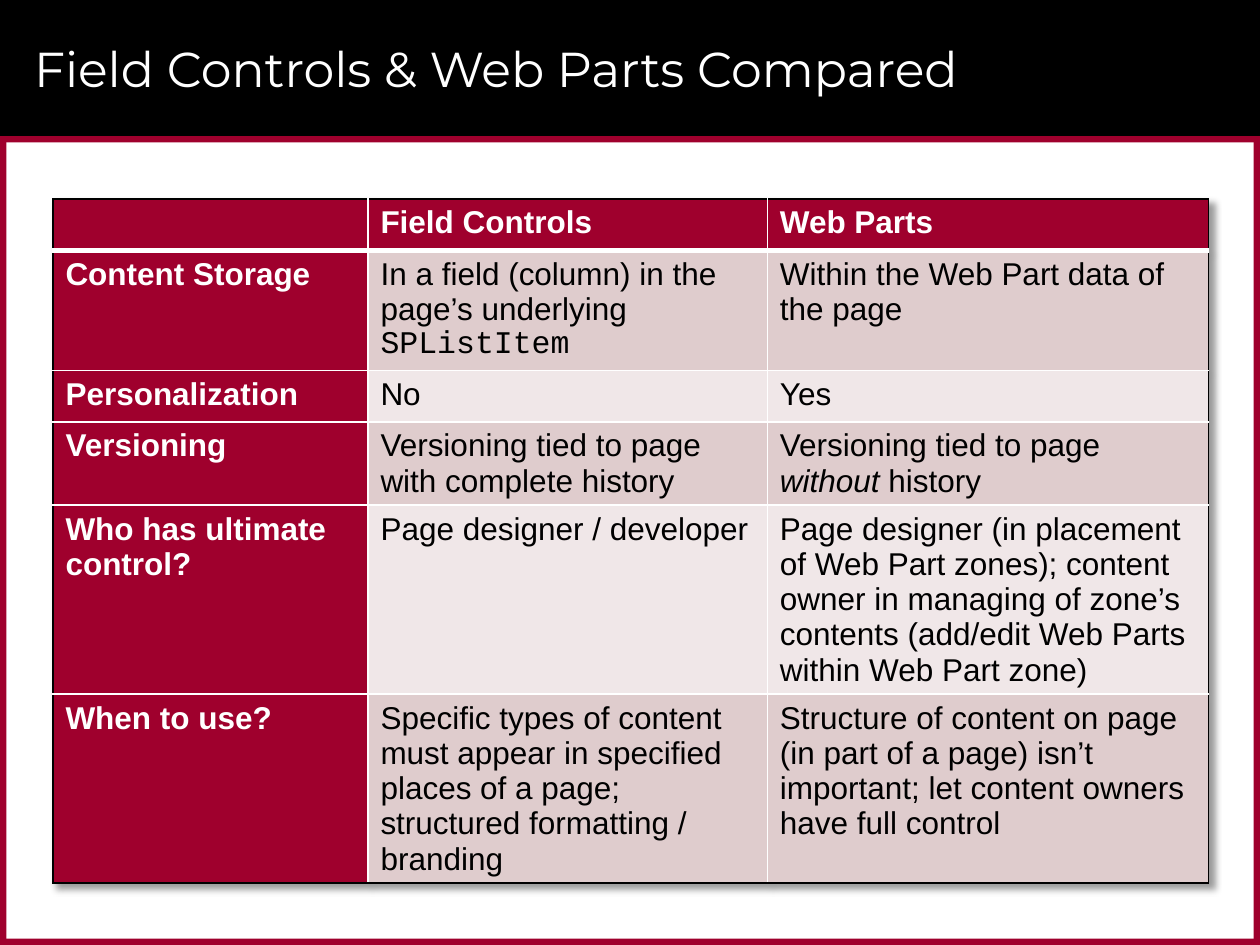
from lxml import etree
from pptx import Presentation
from pptx.dml.color import RGBColor
from pptx.enum import shapes, text
from pptx.oxml import ns
from pptx.util import Inches, Pt

HUES = {"red": "9F002D", "black": "000000", "white": "FFFFFF",
        "dark": "DFCCCD", "light": "F0E7E8"}
WIDTHS = [2.5, 3.17, 3.5]
HEIGHTS = [0.41, 0.95, 0.41, 0.66, 1.5, 1.5]
BARS = [("black", 0, 0, 10, 1.08), ("red", 0, 1.08, 10, 0.05),
        ("red", 0, 7.45, 10, 0.05), ("red", 9.95, 1.08, 0.05, 6.42),
        ("red", 0, 1.08, 0.05, 6.42)]
# Each cell is a list of runs; a tuple pairs the words with a style.
ROWS = [
    [[], ["Field Controls"], ["Web Parts"]],
    [["Content Storage"],
     ["In a field (column) in the page’s underlying ", ("SPListItem", "code")],
     ["Within the Web Part data of the page"]],
    [["Personalization"], ["No"], ["Yes"]],
    [["Versioning"],
     ["Versioning tied to page with complete history"],
     ["Versioning tied to page ", ("without", "slant"), " history"]],
    [["Who has ultimate control?"],
     ["Page designer / developer"],
     ["Page designer (in placement of Web Part zones); content owner in "
      "managing of zone’s contents (add/edit Web Parts within Web Part zone)"]],
    [["When to use?"],
     ["Specific types of content must appear in specified places of a page; "
      "structured formatting / branding"],
     ["Structure of content on page (in part of a page) isn’t important; "
      "let content owners have full control"]],
]


def tint(name):
    return RGBColor.from_string(HUES[name])


def add_node(parent, tag, **attrs):
    node = etree.SubElement(parent, ns.qn(tag))
    for key, val in attrs.items():
        node.set(key, str(val))
    return node


def add_run(para, words, font, size, hue):
    run = para.add_run()
    run.text = words
    run.font.name = font
    run.font.size = Pt(size)
    run.font.color.rgb = tint(hue)
    return run


def add_bar(slide, hue, *box):
    bar = slide.shapes.add_shape(shapes.MSO_SHAPE.RECTANGLE, *map(Inches, box))
    bar.shadow.inherit = False
    bar.fill.solid()
    bar.fill.fore_color.rgb = tint(hue)
    bar.line.fill.background()


def set_title(slide, words):
    title = slide.shapes.title
    title.left, title.top = Inches(0.17), Inches(0.08)
    title.width, title.height = Inches(9.42), Inches(0.92)
    frame = title.text_frame
    frame.vertical_anchor = text.MSO_ANCHOR.MIDDLE
    para = frame.paragraphs[0]
    para.alignment = text.PP_ALIGN.LEFT
    add_run(para, words, "Montserrat", 28, "white")
    slide.shapes._spTree.append(title._element)  # in front of the bars


def set_edges(cell, row, col):
    """Black round the table, white inside, thick under the header."""
    last_row, last_col = len(ROWS) - 1, len(WIDTHS) - 1
    outer = {"L": col == 0, "R": col == last_col,
             "T": row == 0, "B": row == last_row}
    props = cell._tc.get_or_add_tcPr()
    for side, rim in outer.items():
        thick = (row, side) in ((0, "B"), (1, "T"))
        line = add_node(props, f"a:ln{side}", w=Pt(3 if thick else 1))
        fill = add_node(line, "a:solidFill")
        add_node(fill, "a:srgbClr", val=HUES["black" if rim else "white"])


def fill_cell(cell, runs, row, col):
    head = row == 0 or col == 0
    set_edges(cell, row, col)
    cell.fill.solid()
    cell.fill.fore_color.rgb = tint(
        "red" if head else "dark" if row % 2 else "light")
    para = cell.text_frame.paragraphs[0]
    para.font.size = Pt(18)
    for item in runs:
        words, style = (item, "") if isinstance(item, str) else item
        font = "Courier New" if style == "code" else "Arial"
        run = add_run(para, words, font, 18, "white" if head else "black")
        run.font.bold = head
        if style == "slant":
            run.font.italic = True


def add_shade(table):
    """Drop a soft shadow to the lower right of the table."""
    props = table._tbl.tblPr
    group = add_node(props, "a:effectLst")
    props.insert(0, group)
    shade = add_node(group, "a:outerShdw", blurRad=Pt(4), dist=Pt(4),
                     dir=2700000, algn="tl", rotWithShape=0)
    hue = add_node(shade, "a:srgbClr", val=HUES["black"])
    add_node(hue, "a:alpha", val=40000)


def add_grid(slide):
    table = slide.shapes.add_table(
        len(ROWS), len(WIDTHS), Inches(0.42), Inches(1.58),
        Inches(sum(WIDTHS)), Inches(sum(HEIGHTS))).table
    table.first_col = True
    for col, width in zip(table.columns, WIDTHS):
        col.width = Inches(width)
    for row, height in zip(table.rows, HEIGHTS):
        row.height = Inches(height)
    for r, cells in enumerate(ROWS):
        for c, runs in enumerate(cells):
            fill_cell(table.cell(r, c), runs, r, c)
    add_shade(table)


def main():
    deck = Presentation()
    deck.slide_width, deck.slide_height = Inches(10), Inches(7.5)
    slide = deck.slides.add_slide(deck.slide_layouts[5])
    for bar in BARS:
        add_bar(slide, *bar)
    set_title(slide, "Field Controls & Web Parts Compared")
    add_grid(slide)
    deck.save("out.pptx")


if __name__ == "__main__":
    main()
